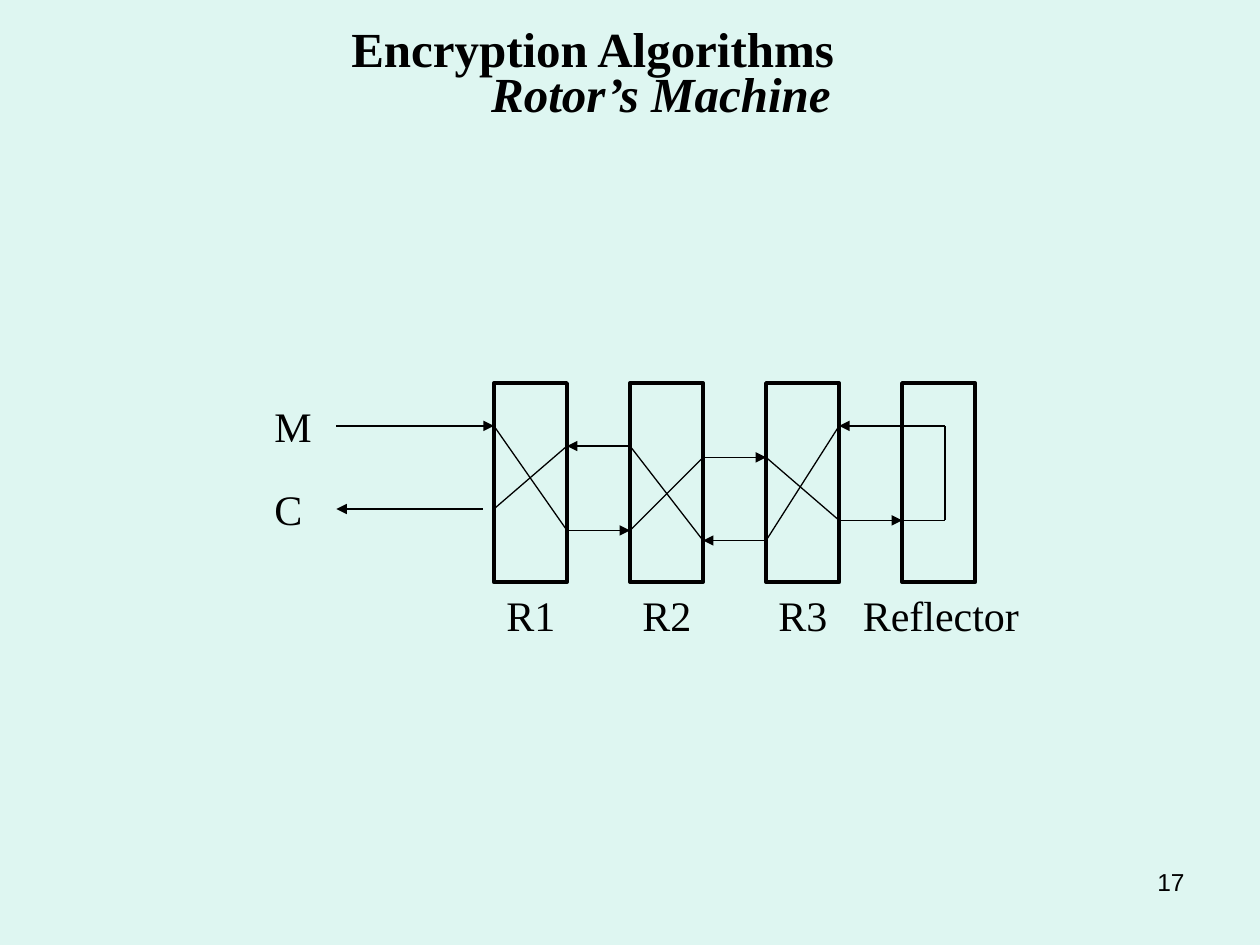
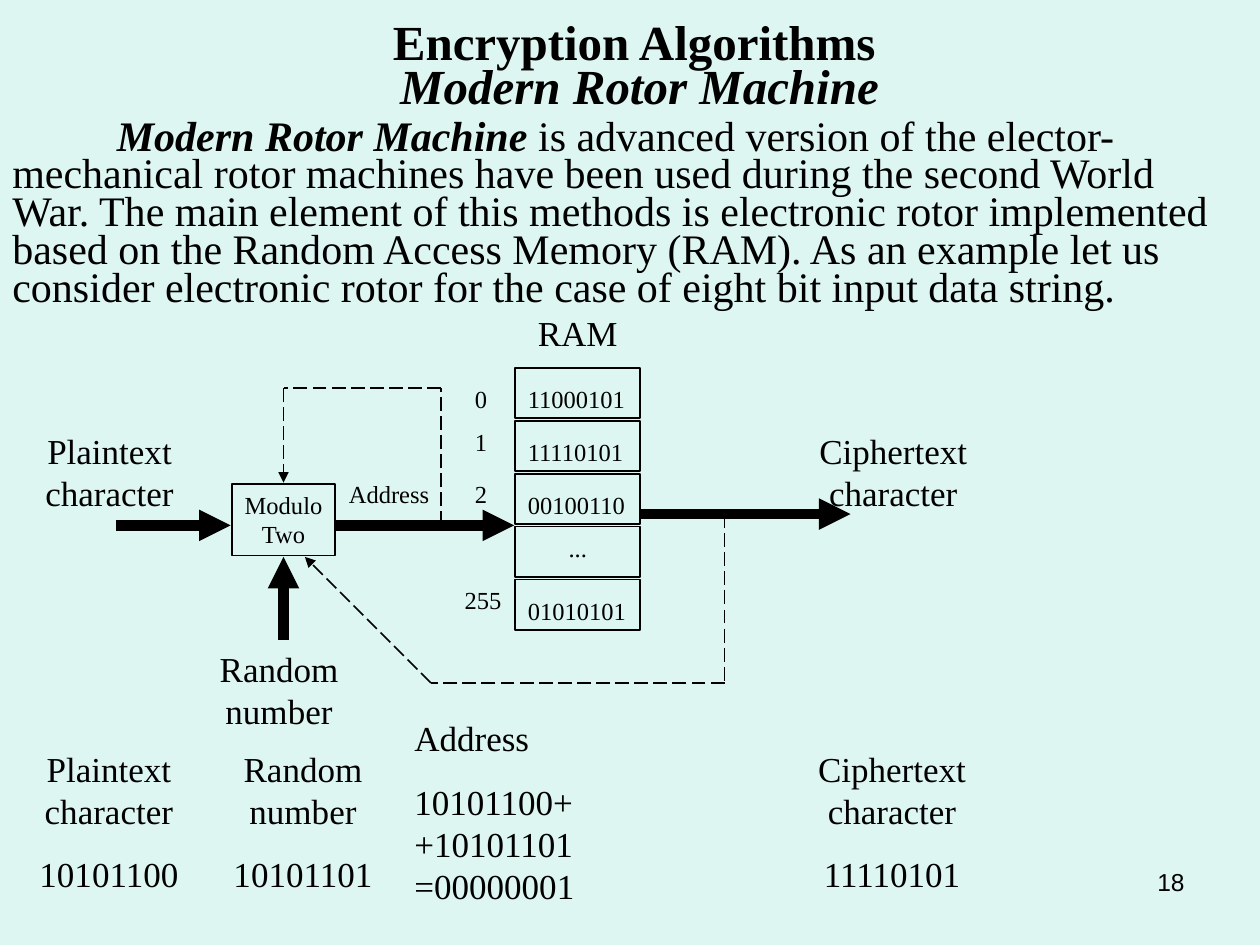
from lxml import etree
from pptx import Presentation
from pptx import util as u
from pptx.dml import color
from pptx.enum import dml, shapes, text
from pptx.oxml import ns

COLORS = {"paper": "DEF6F1", "ink": "000000"}
SERIF, SANS = "Times New Roman", "Arial"
LEFT, CENTER, RIGHT = text.PP_ALIGN.LEFT, text.PP_ALIGN.CENTER, text.PP_ALIGN.RIGHT


def rgb(name):
    return color.RGBColor.from_string(COLORS[name])


def shift(origin, left, top, width, height):
    return origin[0] + left, origin[1] + top, width, height


def write(frame, paragraphs, size=20, align=LEFT, font=SERIF, spacing=None,
          before=12.5, margins=(0.1, 0.05)):
    frame.word_wrap = True
    frame.vertical_anchor = text.MSO_ANCHOR.TOP
    frame.margin_left = frame.margin_right = u.Inches(margins[0])
    frame.margin_top, frame.margin_bottom = u.Inches(margins[1]), u.Inches(0.05)
    for number, spans in enumerate(paragraphs):
        para = frame.add_paragraph() if number else frame.paragraphs[0]
        para.alignment = align
        para.line_spacing = spacing
        para.space_before = u.Pt(before if number else 0)
        for span in [spans] if isinstance(spans, str) else spans:
            words, style = (span, "") if isinstance(span, str) else span
            for row, line in enumerate(words.split("\n")):
                if row:
                    para.add_line_break()
                run = para.add_run()
                run.text = line
                run.font.name, run.font.size = font, u.Pt(size)
                run.font.bold, run.font.italic = "b" in style, "i" in style
                run.font.color.rgb = rgb("ink")


def add_text(page, box, *paragraphs, **style):
    frame = page.shapes.add_textbox(*map(u.Inches, box)).text_frame
    write(frame, paragraphs, **style)
    return frame.paragraphs


def add_frame(page, box, weight, *paragraphs, **style):
    shape = page.shapes.add_shape(shapes.MSO_SHAPE.RECTANGLE, *map(u.Inches, box))
    shape.shadow.inherit = False
    shape.fill.background()
    shape.line.color.rgb = rgb("ink")
    shape.line.width = u.Pt(weight)
    write(shape.text_frame, paragraphs, **style)


def add_route(page, origin, points, weight=0.75, arrow=True, dashed=False):
    for step, (start, end) in enumerate(zip(points, points[1:]), 2):
        ends = [u.Inches(base + value) for point in (start, end)
                for base, value in zip(origin, point)]
        line = page.shapes.add_connector(shapes.MSO_CONNECTOR.STRAIGHT, *ends)
        line.line.color.rgb = rgb("ink")
        line.line.width = u.Pt(weight)
        if dashed:
            line.line.dash_style = dml.MSO_LINE.LONG_DASH
        if arrow and step == len(points):
            stroke = line.line._get_or_add_ln()
            etree.SubElement(stroke, ns.qn("a:tailEnd"), type="triangle")
        etree.SubElement(line._element.spPr, ns.qn("a:effectLst"))


def add_page(deck, number):
    page = deck.slides.add_slide(deck.slide_layouts[6])
    page.background.fill.solid()
    page.background.fill.fore_color.rgb = rgb("paper")
    add_text(page, (7.17, 6.83, 2.33, 0.52), str(number), size=14, font=SANS, align=RIGHT)
    return page


def add_title(page, box, topic):
    first, _ = add_text(page, box, [("Encryption Algorithms", "b")], [(topic, "bi")],
                        size=28, align=CENTER, spacing=0.75, before=0)
    first.alignment = LEFT
    first._p.get_or_add_pPr().set("marL", str(u.Inches(0.45)))


def rotor_machine(page, origin):
    lefts = [1.84 + 1.08 * slot for slot in range(4)]
    width, top_port, back_port = 0.58, 0.34, 1.0
    forward = [(top_port, 1.17), (1.17, 0.59), (0.59, 1.09)]
    backward = [(back_port, 0.5), (0.5, 1.25), (1.25, top_port)]
    for left in lefts:
        add_frame(page, shift(origin, left, 0, width, 1.58), 2.25)
    for left, name in zip(lefts, ("R1", "R2", "R3")):
        add_text(page, shift(origin, left, 1.59, 0.92, 0.5), name, size=24)
    add_text(page, shift(origin, 4.67, 1.59, 1.58, 0.5), "Reflector", size=24)
    for name, top in (("M", 0.09), ("C", 0.75)):
        add_text(page, shift(origin, 0, top, 0.92, 0.5), name, size=24)

    add_route(page, origin, [(0.59, top_port), (lefts[0], top_port)])
    for left, following, (enter, leave), (out, back) in zip(lefts, lefts[1:], forward, backward):
        right = left + width
        add_route(page, origin, [(left, enter), (right, leave)], arrow=False)
        add_route(page, origin, [(right, leave), (following, leave)])
        add_route(page, origin, [(following, back), (right, back)])
        add_route(page, origin, [(right, back), (left, out)], arrow=False)
    reflector, turn, entry = lefts[3], 5.42, forward[-1][1]
    add_route(page, origin, [(reflector, entry), (turn, entry),
                             (turn, top_port), (reflector, top_port)], arrow=False)
    add_route(page, origin, [(1.75, back_port), (0.59, back_port)])


def ram_diagram(page, origin):
    add_text(page, shift(origin, 3.97, 0.02, 1.16, 0.43), "RAM")
    for row, value in enumerate(("11000101", "11110101", "00100110", "...", "01010101")):
        gap = value == "..."
        add_frame(page, shift(origin, 3.89, 0.52 + 0.42 * row, 0.99, 0.4), 1, value, size=14,
                  align=CENTER if gap else LEFT, margins=(0.1, 0.05 if gap else 0.13))
    for address, left, top in (("0", 3.47, 0.6), ("1", 3.47, 0.94),
                               ("2", 3.47, 1.35), ("255", 3.39, 2.19)):
        add_text(page, shift(origin, left, top, 0.5, 0.33), address, size=14)
    add_frame(page, shift(origin, 1.64, 1.44, 0.82, 0.57), 1, "Modulo Two",
              size=14, align=CENTER, margins=(0.05, 0.05))
    add_text(page, shift(origin, 2.47, 1.35, 0.91, 0.33), "Address", size=14)
    for label, left, top, width in (("Plaintext character", 0, 0.96, 1.34),
                                    ("Random number", 1.33, 2.69, 1.37),
                                    ("Ciphertext character", 6.14, 0.96, 1.5)):
        add_text(page, shift(origin, left, top, width, 0.76), label, align=CENTER)
    for flow in ([(0.72, 1.77), (1.63, 1.77)], [(2.47, 1.77), (3.88, 1.77)],
                 [(2.05, 2.68), (2.05, 2.02)], [(4.88, 1.68), (6.55, 1.68)]):
        add_route(page, origin, flow, weight=6)
    for feedback in ([(5.55, 1.68), (5.55, 3.02), (3.22, 3.02), (2.22, 2.02)],
                     [(3.3, 1.77), (3.3, 0.68), (2.05, 0.68), (2.05, 1.43)]):
        add_route(page, origin, feedback, weight=1, dashed=True)


def worked_example(page, origin):
    for label, value, left, width in (("Plaintext character", "10101100", 0, 1.73),
                                      ("Random number", "10101101", 1.69, 1.43),
                                      ("Ciphertext character", "11110101", 6.18, 1.8)):
        add_text(page, shift(origin, left, 0.24, width, 1.27), label, value, align=CENTER)
    add_text(page, shift(origin, 3.19, 0, 1.56, 1.6),
             "Address", "10101100+\n+10101101\n=00000001")


def rotor_page(deck):
    page = add_page(deck, 17)
    add_title(page, (2.24, 0.21, 6.01, 0.8), "Rotor’s Machine")
    rotor_machine(page, (2.08, 3.04))


def modern_rotor_page(deck):
    page = add_page(deck, 18)
    add_title(page, (2.57, 0.15, 5.01, 0.8), "Modern Rotor Machine")
    intro = add_text(page, (0, 0.91, 9.83, 1.6), [
        ("Modern Rotor Machine ", "bi"),
        "is advanced version of the elector-mechanical rotor machines have been used during "
        "the second World War. The main element of this methods is electronic rotor "
        "implemented based on the Random Access Memory (RAM). As an example let us consider "
        "electronic rotor for the case of eight bit input data string."], size=24, spacing=0.75)
    intro[0]._p.get_or_add_pPr().set("indent", str(u.Inches(0.83)))
    ram_diagram(page, (0.2, 2.4))
    worked_example(page, (0, 5.64))


def main():
    deck = Presentation()
    deck.slide_width, deck.slide_height = u.Inches(10), u.Inches(7.5)
    rotor_page(deck)
    modern_rotor_page(deck)
    deck.save("out.pptx")


if __name__ == "__main__":
    main()
